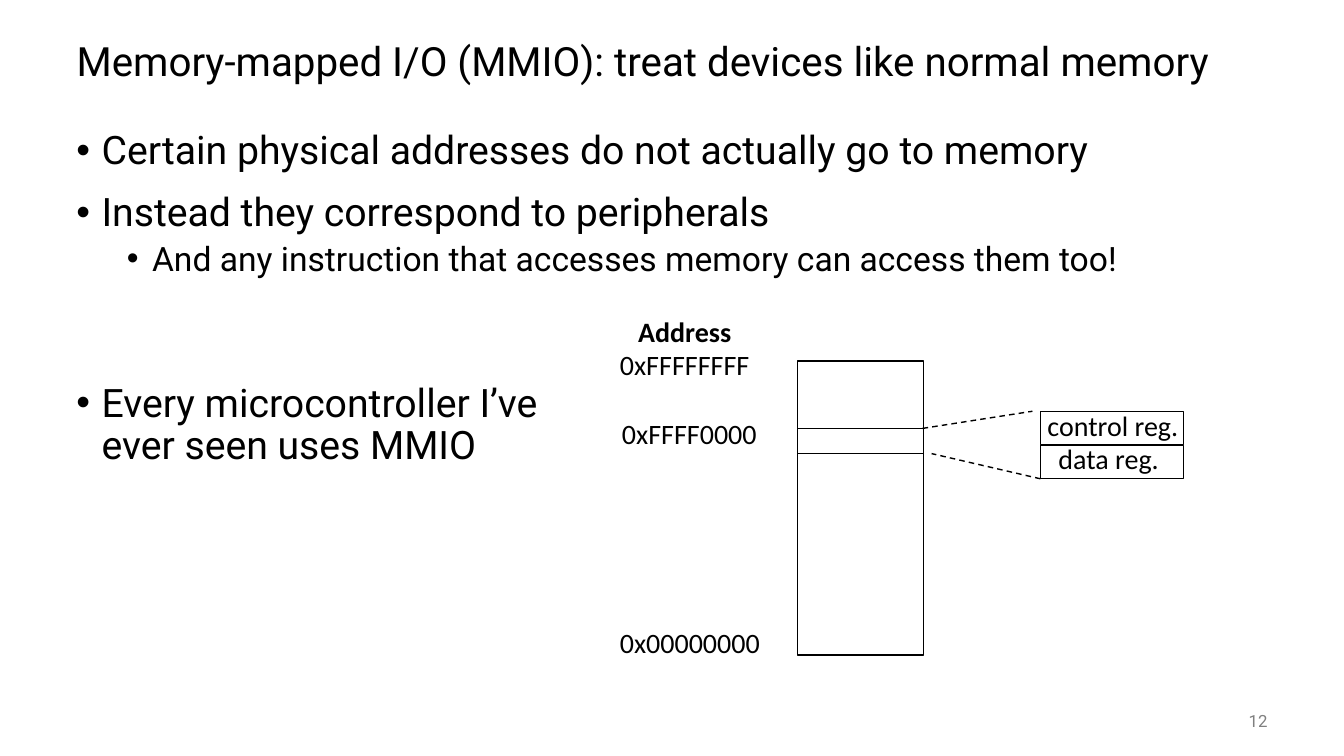
from lxml import etree
from pptx import Presentation
from pptx.dml.color import RGBColor
from pptx.enum.dml import MSO_LINE
from pptx.enum.shapes import MSO_CONNECTOR, MSO_SHAPE
from pptx.enum.text import MSO_ANCHOR, MSO_AUTO_SIZE, PP_ALIGN
from pptx.oxml.ns import qn
from pptx.util import Inches, Pt

BLACK = RGBColor(0x00, 0x00, 0x00)
GRAY = RGBColor(0x80, 0x80, 0x80)

presentation = Presentation()
presentation.slide_width = Inches(13.33)
presentation.slide_height = Inches(7.5)
slide = presentation.slides.add_slide(presentation.slide_layouts[5])


def set_font(paragraph, name, size, color=BLACK, bold=False):
    paragraph.font.name = name
    paragraph.font.size = Pt(size)
    paragraph.font.color.rgb = color
    paragraph.font.bold = bold


def add_text_box(left, top, width, height):
    box = slide.shapes.add_textbox(Inches(left), Inches(top), Inches(width), Inches(height))
    box.text_frame.word_wrap = True
    return box.text_frame


# Title
title = slide.shapes.title
title.left, title.top = Inches(0.66), Inches(0.25)
title.width, title.height = Inches(12), Inches(0.75)
title.text_frame.text = "Memory-mapped I/O (MMIO): treat devices like normal memory"
title.text_frame.auto_size = MSO_AUTO_SIZE.NONE
title.text_frame.vertical_anchor = MSO_ANCHOR.MIDDLE
paragraph = title.text_frame.paragraphs[0]
paragraph.alignment = PP_ALIGN.LEFT
paragraph.line_spacing = 0.9
set_font(paragraph, "Roboto", 28.8)

# Bullets: text, level, size, space before
bullets = [
    ("Certain physical addresses do not actually go to memory", 0, 28, 0),
    ("Instead they correspond to peripherals", 0, 28, 14),
    ("And any instruction that accesses memory can access them too!", 1, 24, 5),
    ("Every microcontroller I’ve\vever seen uses MMIO", 0, 28, 75),
]
body = add_text_box(0.66, 1.25, 12, 5.5)
for index, (text, level, size, space_before) in enumerate(bullets):
    paragraph = body.add_paragraph() if index else body.paragraphs[0]
    paragraph.text = text
    paragraph.level = level
    paragraph.line_spacing = 0.9
    paragraph.space_before = Pt(space_before)
    properties = paragraph._p.get_or_add_pPr()
    properties.set("marL", str(Inches(0.25 + 0.5 * level)))
    properties.set("indent", str(Inches(-0.25)))
    etree.SubElement(properties, qn("a:buFont")).set("typeface", "Arial")
    etree.SubElement(properties, qn("a:buChar")).set("char", "•")
    set_font(paragraph, "Roboto", size)

# Slide number
number = add_text_box(11.67, 6.95, 1, 0.4)
number.text = "12"
number.vertical_anchor = MSO_ANCHOR.MIDDLE
number.paragraphs[0].alignment = PP_ALIGN.RIGHT
set_font(number.paragraphs[0], "Roboto", 12, GRAY)

# Memory column, mapped region and the two registers
for left, top, width, height in [
    (7.91, 3.58, 1.25, 2.92),
    (7.91, 4.25, 1.25, 0.25),
    (10.32, 4.08, 1.42, 0.33),
    (10.32, 4.42, 1.42, 0.33),
]:
    shape = slide.shapes.add_shape(
        MSO_SHAPE.RECTANGLE, Inches(left), Inches(top), Inches(width), Inches(height))
    shape.shadow.inherit = False
    shape.fill.background()
    shape.line.color.rgb = BLACK
    shape.line.width = Pt(1)

# Dashed lines from the mapped region to the registers
for start_x, start_y, end_x, end_y in [(9.15, 4.25, 10.24, 4.08), (10.32, 4.75, 9.24, 4.5)]:
    connector = slide.shapes.add_connector(
        MSO_CONNECTOR.STRAIGHT, Inches(start_x), Inches(start_y), Inches(end_x), Inches(end_y))
    connector.line.color.rgb = BLACK
    connector.line.width = Pt(1)
    connector.line.dash_style = MSO_LINE.DASH
    etree.SubElement(connector._element.spPr, qn("a:effectLst"))

# Address and register labels
for text, left, top, width in [
    ("Address", 6.23, 3.07, 1.51),
    ("0xFFFFFFFF", 6.05, 3.4, 1.85),
    ("0xFFFF0000", 6.07, 4.08, 1.79),
    ("0x00000000", 6.05, 6.16, 1.73),
    ("control reg.", 10.29, 4, 1.51),
    ("data reg.", 10.4, 4.33, 1.3),
]:
    label = add_text_box(left, top, width, 0.43)
    label.text = text
    set_font(label.paragraphs[0], "Calibri", 20, bold=text == "Address")

presentation.save("out.pptx")
